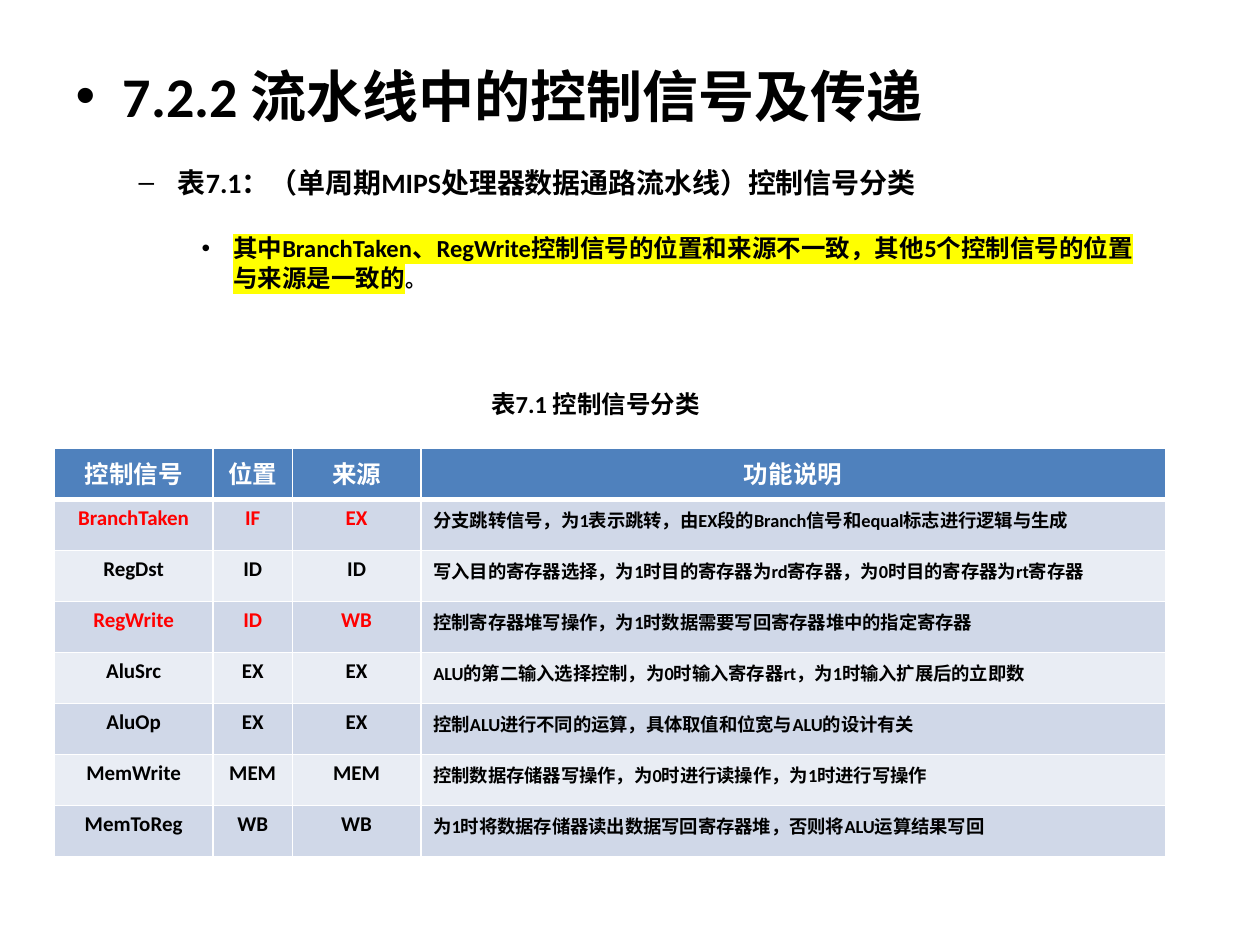
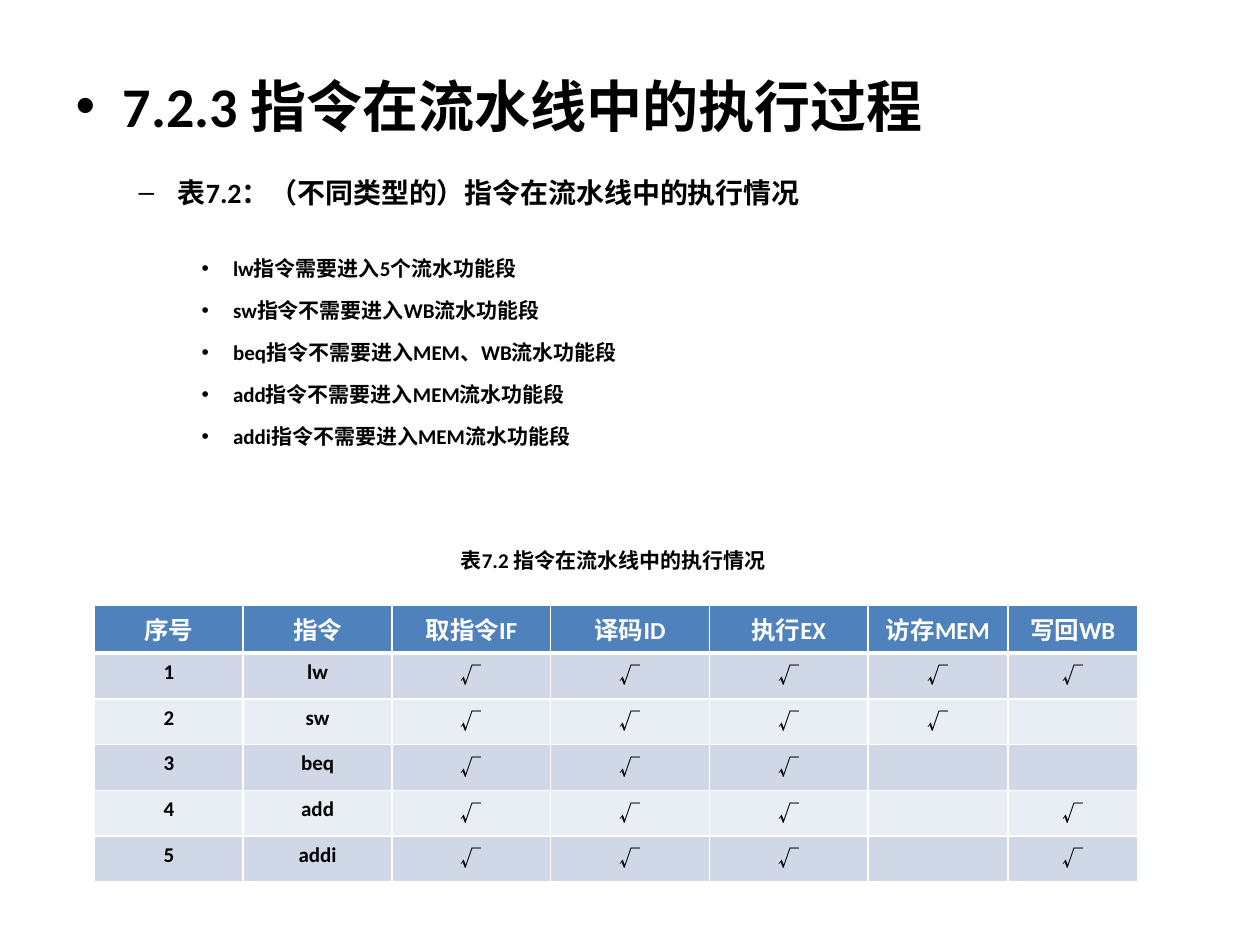
import dataclasses

import pptx
import pptx.dml.color
import pptx.enum.text
import pptx.oxml.ns
import pptx.util
from lxml import etree

Pt = pptx.util.Pt
RGB = pptx.dml.color.RGBColor.from_string
qn = pptx.oxml.ns.qn
ALIGN = pptx.enum.text.PP_ALIGN


@dataclasses.dataclass(frozen=True)
class Theme:
    latin: str = "Calibri"
    chinese: str = "Noto Sans CJK SC"
    text: str = "000000"
    warning: str = "FF0000"
    marker: str = "FFFF00"
    white: str = "FFFFFF"
    header: str = "4F81BD"
    bands: tuple = ("D0D8E8", "E9EDF4")
    title_size: float = 32
    subtitle_size: float = 16
    header_size: float = 14
    cell_size: float = 12
    note_size: float = 10.5
    list_gap: float = 19.5
    item_gap: float = 2.4


theme = Theme()


def write(paragraph, text, size, color=theme.text, latin=theme.latin,
          east_asian=theme.latin, marker=None):
    """Add one bold run with its Latin and East Asian fonts."""
    run = paragraph.add_run()
    run.text = text
    run.font.size = Pt(size)
    run.font.bold = True
    run.font.color.rgb = RGB(color)
    properties = run.font.color.rgb and run._r.get_or_add_rPr()
    if marker:
        highlight = etree.SubElement(properties, qn("a:highlight"))
        etree.SubElement(highlight, qn("a:srgbClr"), val=marker)
    run.font.name = latin
    etree.SubElement(properties, qn("a:ea"), typeface=east_asian)


def style_cell(cell, fill, edges):
    """Give a cell white borders (side: width) and a solid fill."""
    properties = cell._tc.get_or_add_tcPr()
    for side, width in edges.items():
        line = etree.SubElement(properties, qn(f"a:ln{side}"), w=str(Pt(width)))
        solid = etree.SubElement(line, qn("a:solidFill"))
        etree.SubElement(solid, qn("a:srgbClr"), val=theme.white)
    cell.fill.solid()
    cell.fill.fore_color.rgb = RGB(fill)


# Content of the two slides; a list item is a series of (text, size, marker)
signals = [
    ("控制信号", "位置", "来源", "功能说明"),
    ("BranchTaken", "IF", "EX", "分支跳转信号，为1表示跳转，由EX段的Branch信号和equal标志进行逻辑与生成"),
    ("RegDst", "ID", "ID", "写入目的寄存器选择，为1时目的寄存器为rd寄存器，为0时目的寄存器为rt寄存器"),
    ("RegWrite", "ID", "WB", "控制寄存器堆写操作，为1时数据需要写回寄存器堆中的指定寄存器"),
    ("AluSrc", "EX", "EX", "ALU的第二输入选择控制，为0时输入寄存器rt，为1时输入扩展后的立即数"),
    ("AluOp", "EX", "EX", "控制ALU进行不同的运算，具体取值和位宽与ALU的设计有关"),
    ("MemWrite", "MEM", "MEM", "控制数据存储器写操作，为0时进行读操作，为1时进行写操作"),
    ("MemToReg", "WB", "WB", "为1时将数据存储器读出数据写回寄存器堆，否则将ALU运算结果写回"),
]

stages = ["IF", "ID", "EX", "MEM", "WB"]
skipped_stages = {"lw": [], "sw": ["WB"], "beq": ["MEM", "WB"], "add": ["MEM"], "addi": ["MEM"]}
instructions = [("序号", "指令", "取指令IF", "译码ID", "执行EX", "访存MEM", "写回WB")]
for number, (instruction, skipped) in enumerate(skipped_stages.items(), start=1):
    ticks = ["" if stage in skipped else "√" for stage in stages]
    instructions.append((str(number), instruction, *ticks))

stage_notes = [
    "lw指令需要进入5个流水功能段",
    "sw指令不需要进入WB流水功能段",
    "beq指令不需要进入MEM、WB流水功能段",
    "add指令不需要进入MEM流水功能段",
    "addi指令不需要进入MEM流水功能段",
]

sections = [
    dict(
        title="7.2.2 流水线中的控制信号及传递",
        subtitle="表7.1：（单周期MIPS处理器数据通路流水线）控制信号分类",
        items=[[
            ("其中BranchTaken、RegWrite控制信号的位置和来源不一致，"
             "其他5个控制信号的位置与来源是一致的", 14, theme.marker),
            ("。", 12, None),
        ]],
        item_spacing=1.0, top=31.7, list_width=630, list_height=122,
        caption="表7.1 控制信号分类", caption_size=14, caption_box=(273.6, 218.9, 144, 24.5),
        rows=signals, table_at=(31, 256.3), row_height=29.16,
        columns=(90.7, 45.4, 73.4, 425.5),
    ),
    dict(
        title="7.2.3 指令在流水线中的执行过程",
        subtitle="表7.2：（不同类型的）指令在流水线中的执行情况",
        items=[[(note, 12, None)] for note in stage_notes],
        item_spacing=1.5, top=37.4, list_width=648, list_height=297,
        caption="表7.2 指令在流水线中的执行情况", caption_size=12, caption_box=(256.3, 309.6, 198.7, 21.6),
        rows=instructions, table_at=(54, 345.6), row_height=26.16,
        columns=(85, 85, 90.7, 90.7, 90.7, 79.9, 74.2),
    ),
]

presentation = pptx.Presentation()
presentation.slide_width, presentation.slide_height = Pt(720), Pt(540)

for section in sections:
    slide = presentation.slides.add_slide(presentation.slide_layouts[1])
    title, outline = slide.placeholders

    # Bulleted title
    title.left, title.top, title.width, title.height = Pt(36), Pt(section["top"]), Pt(630), Pt(56)
    title.text_frame.auto_size = pptx.enum.text.MSO_AUTO_SIZE.NONE
    title.text_frame.vertical_anchor = pptx.enum.text.MSO_ANCHOR.TOP
    heading = title.text_frame.paragraphs[0]
    heading.alignment = ALIGN.LEFT
    heading_properties = heading._p.get_or_add_pPr()
    heading_properties.set("marL", str(Pt(27)))
    heading_properties.set("indent", str(Pt(-27)))
    etree.SubElement(heading_properties, qn("a:buFont"), typeface="Arial")
    etree.SubElement(heading_properties, qn("a:buChar"), char="•")
    number, name = section["title"].split(" ")
    write(heading, f"{number}\u2002{name}".replace("\u2002", " "), theme.title_size)

    # Subtitle and list
    outline.left, outline.top = Pt(36), Pt(section["top"] + 59.2)
    outline.width, outline.height = Pt(section["list_width"]), Pt(section["list_height"])
    outline.text_frame.auto_size = pptx.enum.text.MSO_AUTO_SIZE.NONE
    subtitle = outline.text_frame.paragraphs[0]
    subtitle.level = 1
    subtitle.space_before = Pt(0)
    write(subtitle, section["subtitle"], theme.subtitle_size)
    for index, parts in enumerate(section["items"]):
        item = outline.text_frame.add_paragraph()
        item.level = 2
        item.line_spacing = section["item_spacing"]
        item.space_before = Pt(theme.item_gap if index else theme.list_gap)
        for text, size, marker in parts:
            write(item, text, size, marker=marker)

    # Table
    rows, columns = section["rows"], section["columns"]
    left, top = section["table_at"]
    table = slide.shapes.add_table(
        len(rows), len(columns), Pt(left), Pt(top),
        Pt(sum(columns)), Pt(section["row_height"] * len(rows))).table
    for column, width in zip(table.columns, columns):
        column.width = Pt(width)
    for r, row in enumerate(rows):
        table.rows[r].height = Pt(section["row_height"])
        fill = theme.bands[(r - 1) % 2] if r else theme.header
        edges = {"L": 1, "R": 1, "T": 3 if r == 1 else 1, "B": 1 if r else 3}
        mismatch = rows is signals and r > 0 and row[1] != row[2]
        for c, text in enumerate(row):
            cell = table.cell(r, c)
            style_cell(cell, fill, edges)
            paragraph = cell.text_frame.paragraphs[0]
            is_note = rows is signals and r > 0 and c == 3
            paragraph.alignment = ALIGN.LEFT if is_note else ALIGN.CENTER
            size = theme.note_size if is_note else theme.cell_size if r else theme.header_size
            color = theme.white if r == 0 else theme.warning if mismatch and not is_note else theme.text
            if text:
                write(paragraph, text, size, color,
                      latin=theme.chinese if text == "√" else theme.latin,
                      east_asian=theme.chinese)
            else:
                etree.SubElement(paragraph._p, qn("a:endParaRPr"), sz=str(int(size * 100)))

    # Table caption
    caption = slide.shapes.add_textbox(*map(Pt, section["caption_box"])).text_frame
    caption.word_wrap = True
    number, name = section["caption"].split(" ")
    write(caption.paragraphs[0], f"{number} {name}", section["caption_size"])

presentation.save("out.pptx")
